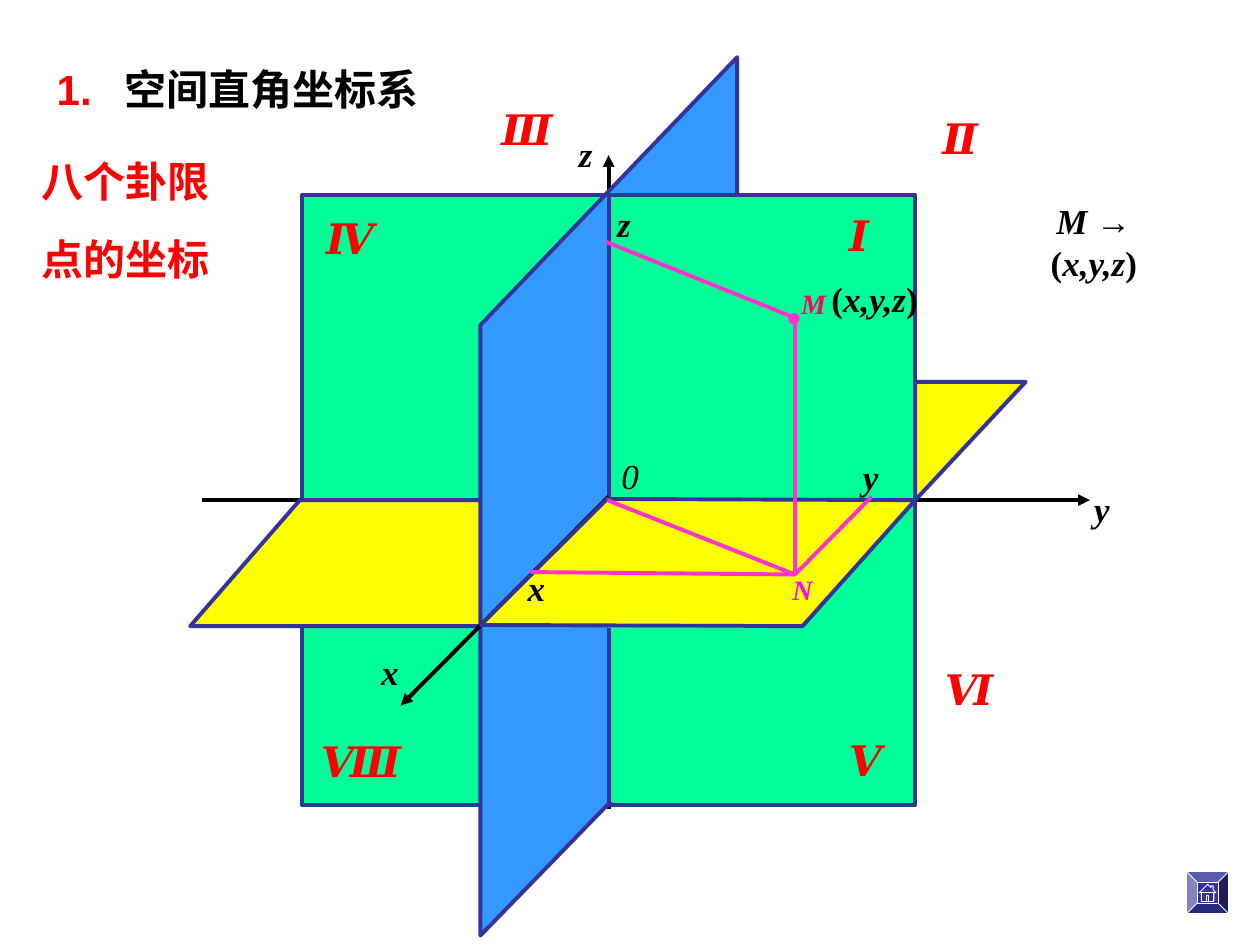
from dataclasses import dataclass

from lxml import etree
from pptx import Presentation
from pptx.dml.color import RGBColor
from pptx.enum.shapes import MSO_CONNECTOR, MSO_SHAPE as Preset
from pptx.enum.text import MSO_ANCHOR as Anchor, MSO_AUTO_SIZE, PP_ALIGN as Align
from pptx.oxml.ns import qn
from pptx.util import Pt


@dataclass(frozen=True)
class Theme:
    black: RGBColor = RGBColor(0, 0, 0)
    white: RGBColor = RGBColor(255, 255, 255)
    red: RGBColor = RGBColor(255, 0, 0)
    edge: RGBColor = RGBColor(0x33, 0x33, 0x99)
    green: RGBColor = RGBColor(0, 0xFF, 0x99)
    yellow: RGBColor = RGBColor(255, 255, 0)
    blue: RGBColor = RGBColor(0x33, 0x99, 0xFF)
    pink: RGBColor = RGBColor(0xFF, 0x33, 0xCC)
    point: RGBColor = RGBColor(0xFF, 0, 0x66)
    foot: RGBColor = RGBColor(0xFF, 0, 0xFF)
    serif: str = "Times New Roman"
    sans: str = "Arial"
    large: int = 24
    medium: int = 20
    small: int = 16
    stroke: float = 2.25


theme = Theme()
prs = Presentation()
prs.slide_width, prs.slide_height = Pt(720), Pt(540)
slide = prs.slides.add_slide(prs.slide_layouts[5])
shapes = slide.shapes


def paint(shape, fill, line=None, weight=theme.stroke):
    shape.shadow.inherit = False
    shape.fill.solid()
    shape.fill.fore_color.rgb = fill
    if line is None:
        shape.line.fill.background()
    else:
        shape.line.color.rgb = line
        shape.line.width = Pt(weight)


def label(box, runs, size, color, align=Align.LEFT, bold=True, wrap=True):
    """Add a text box; runs are (text, italic) pairs. Return its paragraph."""
    frame = shapes.add_textbox(*map(Pt, box)).text_frame
    frame.word_wrap = wrap
    frame.vertical_anchor = Anchor.MIDDLE
    paragraph = frame.paragraphs[0]
    paragraph.alignment = align
    font = paragraph.font
    font.name, font.size, font.bold = theme.serif, Pt(size), bold
    font.color.rgb = color
    for text, italic in runs:
        run = paragraph.add_run()
        run.text = text
        run.font.italic = italic
    return paragraph


# Heading
heading = shapes.title
heading.left, heading.top, heading.width, heading.height = map(Pt, (25.2, 32.4, 225.4, 31))
paint(heading, theme.white)
heading_frame = heading.text_frame
heading_frame.auto_size = MSO_AUTO_SIZE.NONE
heading_frame.vertical_anchor = Anchor.TOP
heading_line = heading_frame.paragraphs[0]
heading_line.alignment = Align.LEFT
tabs = etree.SubElement(heading_line._p.get_or_add_pPr(), qn("a:tabLst"))
etree.SubElement(tabs, qn("a:tab"), pos=str(Pt(39)), algn="l")
heading_line.font.name = theme.sans
heading_line.font.size = Pt(theme.large)
heading_line.font.bold = True
for text, color in (("1.\t", theme.red), ("空间直角坐标系", theme.black)):
    run = heading_line.add_run()
    run.text = text
    run.font.color.rgb = color

for top, topic in ((85, "八个卦限"), (129.6, "点的坐标")):
    label((11.6, top, 120, 36), [(topic, False)], theme.large, theme.red, Align.CENTER)

# Planes, axes and construction lines, from back to front
origin_x, origin_y = 347.8, 285.8
half_w, half_h = 175.2, 174.4
left, top = origin_x - half_w, origin_y - half_h
right = origin_x + half_w
green_quarter = (half_w, half_h)

drawing = [
    ("axis", (115.2, 285.8), (622.8, 285.8)),
    ("axis", (origin_x, 462.2), (origin_x, 88.6)),
    ("rect", (left, origin_y), green_quarter),
    ("rect", (origin_x, origin_y), green_quarter),
    ("rect", (left, top), green_quarter),
    ("yellow", (right, 218.2), (right, 285.8), (586.1, 218.2)),
    ("yellow", (108.7, 357.8), (278.6, 357.8), (346.3, 285.8), (171.4, 285.8)),
    ("blue", (421.2, 32.7), (274.5, 185.8), (274.5, 534.6), (421.2, 383.8)),
    ("rect", (origin_x, top), green_quarter),
    ("axis", (origin_x, 283.7), (229, 403.2)),
    ("yellow", (274.8, 357.1), (458.6, 357.8), (right, 285.8), (347, 285.1)),
    ("patch", (origin_x, 358.6), (origin_x, 458.6), (354.2, 457.9), (425.5, 388.8),
     (425.5, 358.6)),
    ("edge", (origin_x, 358.6), (origin_x, 460.1)),
    ("pink", (454.3, 183.6), (454.3, 328.3)),
    ("pink", (455, 328.3), (303.1, 326.9)),
    ("pink", (454.3, 328.3), (498.2, 283.7)),
    ("pink", (347, 285.8), (454.3, 328.3)),
    ("pink", (346.3, 138.2), (453.6, 181.4)),
]
line_colors = {"axis": theme.black, "edge": theme.edge, "pink": theme.pink}
plane_colors = {"yellow": theme.yellow, "blue": theme.blue, "patch": theme.green}

for kind, start, *rest in drawing:
    if kind == "rect":
        quarter = shapes.add_shape(Preset.RECTANGLE, *map(Pt, start + rest[0]))
        paint(quarter, theme.green, theme.edge)
    elif kind in line_colors:
        segment = shapes.add_connector(MSO_CONNECTOR.STRAIGHT, *map(Pt, start + rest[0]))
        segment.line.color.rgb = line_colors[kind]
        segment.line.width = Pt(theme.stroke)
        if kind == "axis":
            etree.SubElement(segment.line._get_or_add_ln(), qn("a:tailEnd"), type="triangle")
        etree.SubElement(segment._element.spPr, qn("a:effectLst"))
    else:
        outline = shapes.build_freeform(*map(Pt, start))
        outline.add_line_segments([tuple(map(Pt, corner)) for corner in rest])
        paint(outline.convert_to_shape(), plane_colors[kind],
              None if kind == "patch" else theme.edge)

point_m = shapes.add_shape(Preset.OVAL, Pt(450.7), Pt(179.3), Pt(5.8), Pt(5.8))
paint(point_m, theme.pink, theme.pink, 0.75)

# Octant numbers
for octant, x, y, width in (
    ("Ⅱ", 531.4, 60.5, 34.6), ("Ⅲ", 279.4, 55.4, 43.2),
    ("Ⅰ", 478.1, 115.9, 38.9), ("Ⅳ", 179.3, 118.1, 46.8),
    ("Ⅴ", 478.1, 416.2, 38.9), ("Ⅵ", 532.8, 375.8, 46.8),
    ("Ⅷ", 176.4, 416.9, 51.1),
):
    label((x, y, width, 36), [(octant, True)], theme.large, theme.red)

# Axis names, then values on the axes
for name, x, y, width, align in (
    ("z", 300.2, 72, 69.1, Align.CENTER), ("y", 609.8, 275, 39.6, Align.CENTER),
    ("x", 195.1, 367.9, 55.4, Align.CENTER), ("x", 294.5, 319.7, 24.5, Align.LEFT),
    ("y", 486, 256.3, 23, Align.LEFT), ("z", 345.6, 111.6, 22.3, Align.LEFT),
):
    label((x, y, width, 31.7), [(name, True)], theme.medium, theme.black, align)

label((347.8, 255.6, 24.5, 31.7), [("0", True)], theme.medium, theme.black,
      Align.CENTER, bold=False)
label((450.7, 159.8, 28.1, 26.6), [("M", True)], theme.small, theme.point)
label((445.7, 323.3, 25.9, 26.6), [("N", True)], theme.small, theme.foot)

coordinates = [("(", False), ("x,y,z", True), (")", False)]
label((468, 154.8, 64.1, 31.7), coordinates, theme.medium, theme.black, wrap=False)
mapping = label((590, 122.4, 70, 31.7),
                [("M ", True), ("→", False), (" ", False)] + coordinates,
                theme.medium, theme.black, Align.CENTER)
mapping.runs[1].font.name = theme.sans

# Home button
button = shapes.add_shape(Preset.BEVEL, Pt(678.2), Pt(498.2), Pt(23.8), Pt(23.8))
button.adjustments[0] = 0.25
paint(button, theme.edge, theme.white, 0.5)
house = [(690.1, 505.4), (692, 507.2), (692, 506.2), (693.2, 506.2), (693.2, 508.4),
         (694.8, 510.1), (693.7, 510.1), (693.7, 515), (686.5, 515), (686.5, 510.1),
         (685.3, 510.1)]
walls = [(686.5, 510.1), (693.7, 510.1), (693.7, 515), (686.5, 515)]
door = [(689.4, 512), (690.8, 512), (690.8, 515), (689.4, 515)]
for start, *rest in (house, walls, door):
    outline = shapes.build_freeform(*map(Pt, start))
    outline.add_line_segments([tuple(map(Pt, corner)) for corner in rest])
    paint(outline.convert_to_shape(), theme.edge, theme.white, 0.5)

prs.save("out.pptx")
